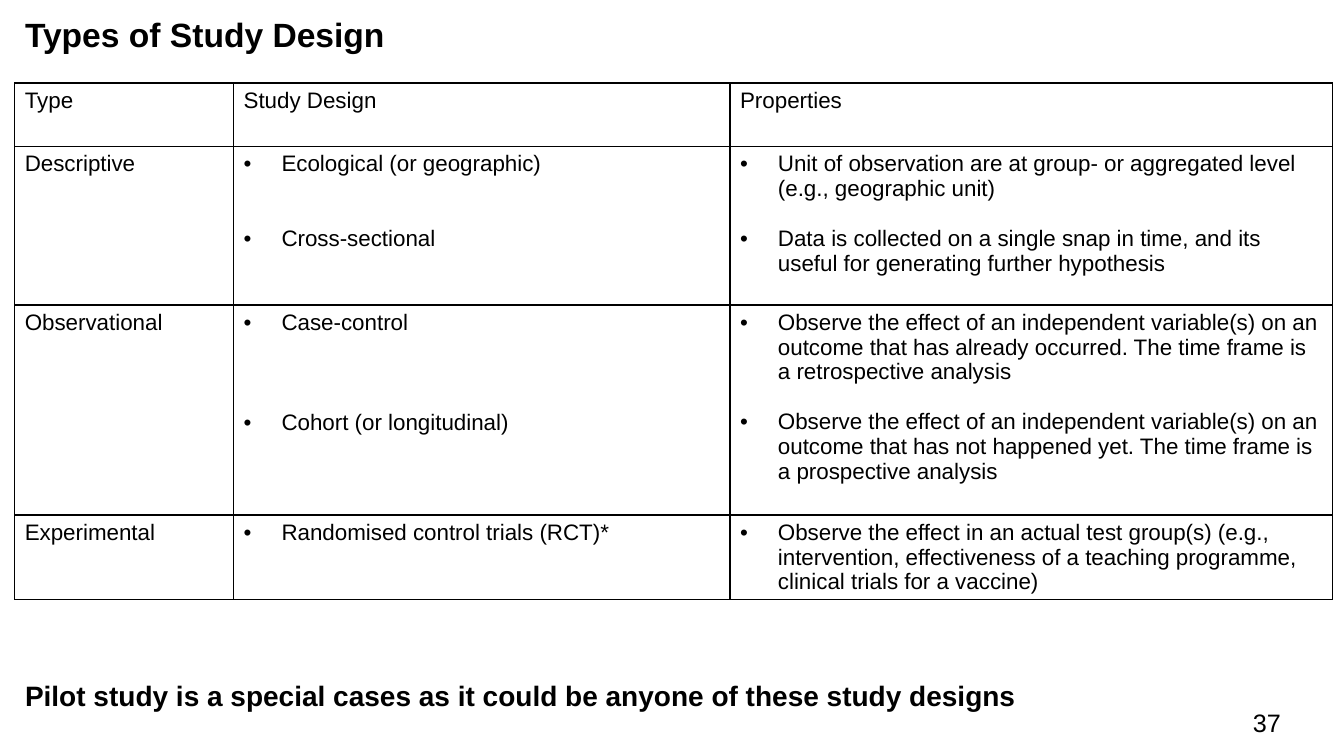
from lxml import etree
from pptx import Presentation
from pptx.dml.color import RGBColor
from pptx.oxml import ns
from pptx.util import Pt

INK = "000000"
FONT = "Arial"
SIZE = 16
LINE = 17.86  # height of one table line
HANG = 27

# text, left, top, width, height, size, bold
BOXES = [
    ("Types of Study Design", 10.8, 6.5, 296.6, 28.8, 24, True),
    ("Pilot study is a special cases as it could be anyone of these study designs",
     10.8, 481, 727.2, 31.7, 20, True),
    ("37", 887.8, 501.8, 51.8, 31, 18, False),
]

HEADS = ["Type", "Study Design", "Properties"]
# type, designs, lines between designs, properties
STUDIES = [
    ("Descriptive", ["Ecological (or geographic)", "Cross-sectional"], 2,
     ["Unit of observation are at group- or aggregated level (e.g., geographic unit)",
      "Data is collected on a single snap in time, and its useful for "
      "generating further hypothesis"]),
    ("Observational", ["Case-control", "Cohort (or longitudinal)"], 3,
     ["Observe the effect of an independent variable(s) on an outcome that has "
      "already occurred. The time frame is a retrospective analysis",
      "Observe the effect of an independent variable(s) on an outcome that has "
      "not happened yet. The time frame is a prospective analysis"]),
    ("Experimental", ["Randomised control trials (RCT)*"], 0,
     ["Observe the effect in an actual test group(s) (e.g., intervention, "
      "effectiveness of a teaching programme, clinical trials for a vaccine)"]),
]
LEFT, TOP = 10.5, 59.3
COLS = [156.4, 354.6, 430.6]
ROWS = [45.2, 113.4, 150, 60.6]


def color(code):
    return RGBColor.from_string(code)


def style(para, size, bold=False):
    font = para.font
    for item in [font] + [run.font for run in para.runs]:
        item.name, item.size, item.bold = FONT, Pt(size), bold
        item.color.rgb = color(INK)


def bullet(para):
    props = para._p.get_or_add_pPr()
    props.set("marL", str(Pt(HANG)))
    props.set("indent", str(-Pt(HANG)))
    etree.SubElement(props, ns.qn("a:buFont")).set("typeface", FONT)
    etree.SubElement(props, ns.qn("a:buChar")).set("char", "•")


def border(cell):
    props = cell._tc.get_or_add_tcPr()
    for side in ("lnL", "lnR", "lnT", "lnB"):
        line = etree.SubElement(props, ns.qn("a:" + side), w=str(Pt(1)))
        fill = etree.SubElement(line, ns.qn("a:solidFill"))
        etree.SubElement(fill, ns.qn("a:srgbClr"), val=INK)


def write(cell, items, gap=0, listed=False):
    """Fill a cell, leaving gap lines between its items."""
    border(cell)
    cell.fill.background()
    cell.text_frame.text = "\n".join(items)
    for num, para in enumerate(cell.text_frame.paragraphs):
        if num:
            para.space_before = Pt(gap * LINE)
        if listed:
            bullet(para)
        style(para, SIZE)


deck = Presentation()
deck.slide_width, deck.slide_height = Pt(960), Pt(540)
slide = deck.slides.add_slide(deck.slide_layouts[6])

frame = slide.shapes.add_table(len(ROWS), len(COLS), Pt(LEFT), Pt(TOP),
                               Pt(sum(COLS)), Pt(sum(ROWS)))
table = frame.table
table.first_row = table.horz_banding = False
for col, width in zip(table.columns, COLS):
    col.width = Pt(width)
for row, height in zip(table.rows, ROWS):
    row.height = Pt(height)

for num, head in enumerate(HEADS):
    write(table.cell(0, num), [head])
for num, (kind, designs, gap, traits) in enumerate(STUDIES, 1):
    write(table.cell(num, 0), [kind])
    write(table.cell(num, 1), designs, gap, True)
    write(table.cell(num, 2), traits, 1, True)

for words, left, top, width, height, size, bold in BOXES:
    box = slide.shapes.add_textbox(Pt(left), Pt(top), Pt(width), Pt(height))
    box.text_frame.word_wrap = True
    box.text_frame.text = words
    style(box.text_frame.paragraphs[0], size, bold)

deck.save("out.pptx")
